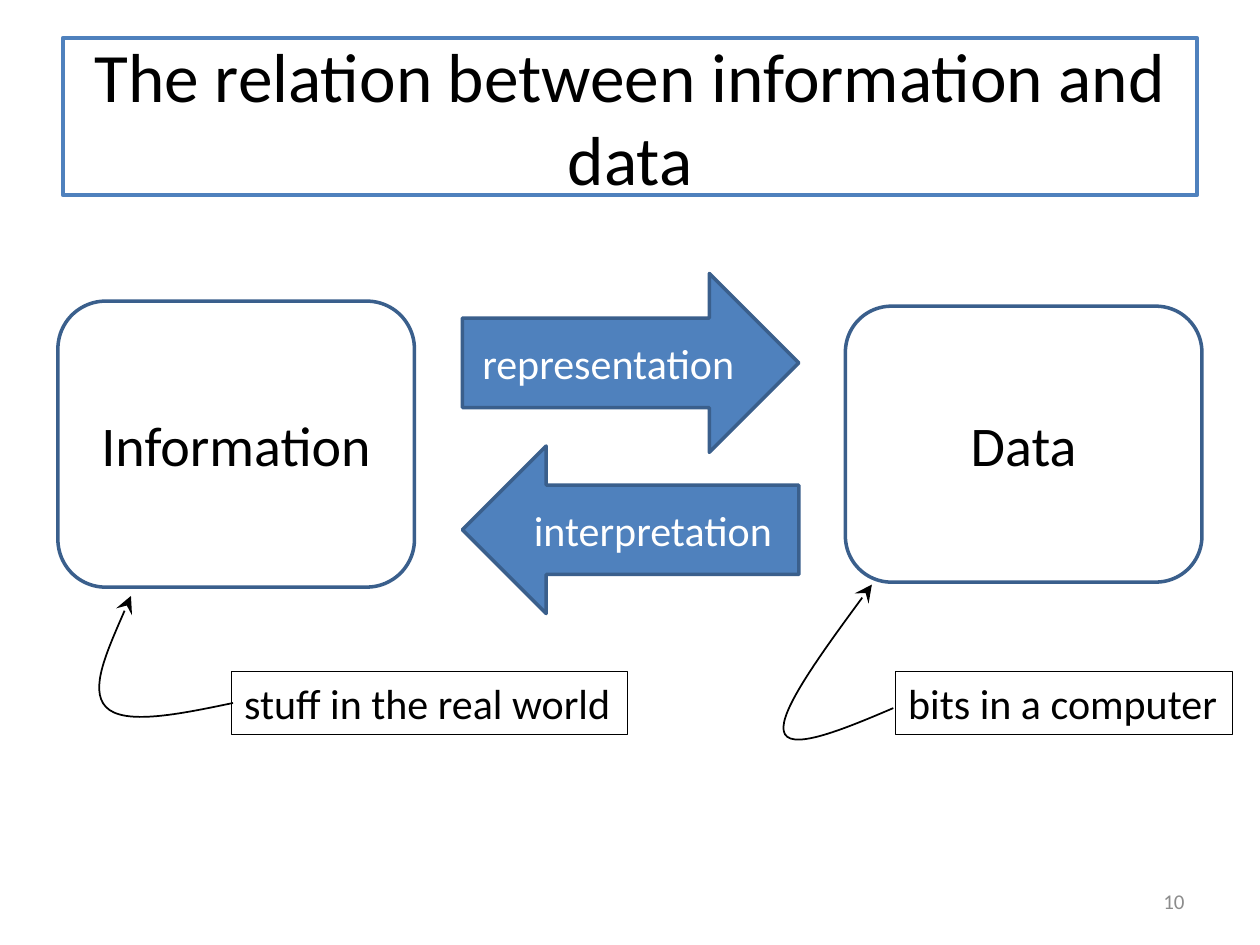
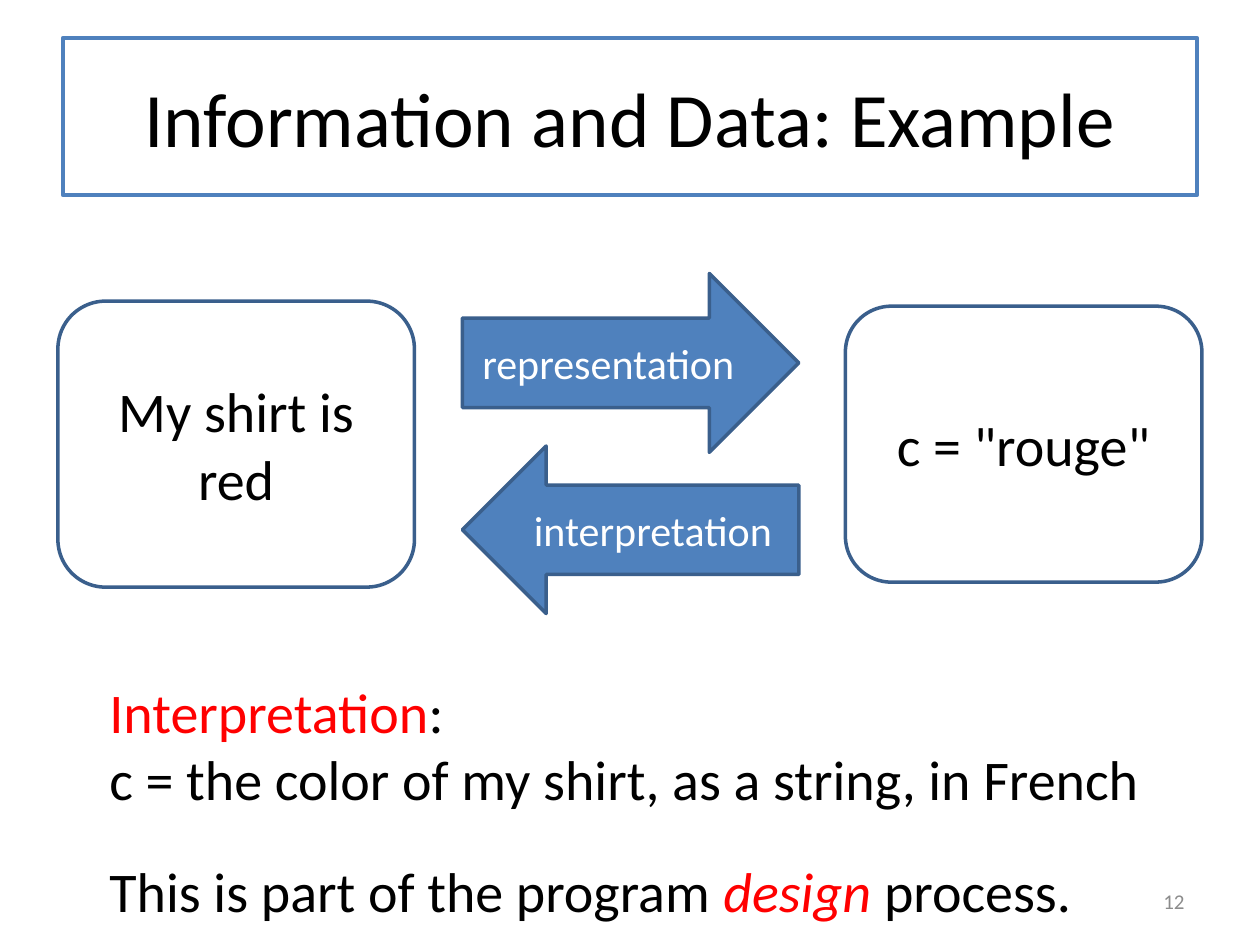
from lxml import etree
from pptx import Presentation
from pptx.dml.color import RGBColor
from pptx.enum.shapes import MSO_SHAPE
from pptx.enum.text import MSO_ANCHOR, MSO_AUTO_SIZE, PP_ALIGN
from pptx.oxml.ns import qn
from pptx.util import Inches, Pt

BLACK = RGBColor(0x00, 0x00, 0x00)
WHITE = RGBColor(0xFF, 0xFF, 0xFF)
RED = RGBColor(0xFF, 0x00, 0x00)
GREY = RGBColor(0x8C, 0x8C, 0x8C)
BLUE = RGBColor(0x4F, 0x81, 0xBD)
DARK_BLUE = RGBColor(0x3A, 0x5F, 0x8C)

RECTANGLE = MSO_SHAPE.RECTANGLE
ROUNDED = MSO_SHAPE.ROUNDED_RECTANGLE
RIGHT_ARROW = MSO_SHAPE.RIGHT_ARROW
LEFT_ARROW = MSO_SHAPE.LEFT_ARROW
LEFT, CENTER, RIGHT = PP_ALIGN.LEFT, PP_ALIGN.CENTER, PP_ALIGN.RIGHT
TOP, MIDDLE = MSO_ANCHOR.TOP, MSO_ANCHOR.MIDDLE
GROW = MSO_AUTO_SIZE.SHAPE_TO_FIT_TEXT

FONT = "Calibri"


class Deck:
    """Holds the shared style and the current slide."""

    def __init__(self):
        self.file = Presentation()
        self.file.slide_width = Inches(10)
        self.file.slide_height = Inches(7.5)
        self.page = None

    def new_page(self, title, number, title_size=44):
        self.page = self.file.slides.add_slide(self.file.slide_layouts[6])
        self.shape(self.page.shapes, RECTANGLE, (0.5, 0.3, 9, 1.25), title,
                   title_size, line=BLUE, line_width=2.25)
        self.text((7.17, 6.95, 2.33, 0.4), [[(number, GREY)]], 12,
                  align=RIGHT, anchor=MIDDLE, wrap=True)

    def style(self, para, size, color, align):
        para.alignment = align
        for span in para.runs:
            span.font.name = FONT
            span.font.size = Pt(size)
            span.font.color.rgb = color

    def shape(self, parent, kind, place, text, size, color=BLACK, fill=None,
              line=DARK_BLUE, line_width=2, align=CENTER):
        box = parent.add_shape(kind, *map(Inches, place))
        box.shadow.inherit = False
        if fill is None:
            box.fill.background()
        else:
            box.fill.solid()
            box.fill.fore_color.rgb = fill
        box.line.color.rgb = line
        box.line.width = Pt(line_width)
        frame = box.text_frame
        frame.text = text
        frame.vertical_anchor = MIDDLE
        frame.word_wrap = True
        self.style(frame.paragraphs[0], size, color, align)
        return box

    def text(self, place, lines, size, align=LEFT, anchor=TOP, wrap=False):
        """Each line is a list of (words, colour) or (words, colour, italic)."""
        frame = self.page.shapes.add_textbox(*map(Inches, place)).text_frame
        frame.word_wrap = wrap
        frame.vertical_anchor = anchor
        if not wrap:
            frame.auto_size = GROW
        for index, line in enumerate(lines):
            para = frame.add_paragraph() if index else frame.paragraphs[0]
            for words, _, *italic in line:
                span = para.add_run()
                span.text = words
                span.font.italic = bool(italic)
            self.style(para, size, BLACK, align)
            for span, (_, color, *_) in zip(para.runs, line):
                span.font.color.rgb = color

    def note(self, place, text):
        box = self.shape(self.page.shapes, RECTANGLE, place, text, 24,
                         line=BLACK, line_width=0.75, align=LEFT)
        box.text_frame.word_wrap = False
        box.text_frame.vertical_anchor = TOP
        box.text_frame.auto_size = GROW

    def curved_arrow(self, *points):
        """Draws cubic curves, three points each after the start."""
        start, *rest = [(Inches(x), Inches(y)) for x, y in points]
        builder = self.page.shapes.build_freeform(*start)
        builder.add_line_segments(rest, close=False)
        curve = builder.convert_to_shape()
        curve.shadow.inherit = False
        curve.fill.background()
        curve.line.color.rgb = BLACK
        curve.line.width = Pt(1)

        # Turn every three straight segments into one curve
        segments = list(curve.element.iter(qn("a:lnTo")))
        for first in range(0, len(segments), 3):
            trio = segments[first:first + 3]
            bend = etree.Element(qn("a:cubicBezTo"))
            trio[0].addprevious(bend)
            for segment in trio:
                bend.append(segment[0])
                segment.getparent().remove(segment)
        outline = curve.element.spPr.find(qn("a:ln"))
        etree.SubElement(outline, qn("a:tailEnd"), type="stealth",
                         w="lg", len="lg")

    def relation(self, information, data):
        """Two boxes joined by a pair of opposite arrows."""
        group = self.page.shapes.add_group_shape().shapes
        self.shape(group, ROUNDED, (0.46, 2.39, 2.83, 2.27), information, 32)
        self.shape(group, ROUNDED, (6.71, 2.43, 2.83, 2.19), data, 32)
        self.shape(group, RIGHT_ARROW, (3.67, 2.17, 2.67, 1.42),
                   "representation", 24, WHITE, BLUE)
        back = self.shape(group, LEFT_ARROW, (3.67, 3.54, 2.67, 1.33),
                          "interpretation", 24, WHITE, BLUE)
        back.adjustments[0] = 0.533


def main():
    deck = Deck()

    # The relation, with a note on each side
    deck.new_page("The relation between information and data", "10", 39.6)
    deck.relation("Information", "Data")
    deck.note((1.84, 5.33, 3.14, 0.5), "stuff in the real world")
    deck.note((7.11, 5.33, 2.67, 0.5), "bits in a computer")
    deck.curved_arrow((1.85, 5.58), (1.42, 5.67), (0.98, 5.76), (0.84, 5.61),
                      (0.71, 5.47), (0.88, 5.1), (1.04, 4.73))
    deck.curved_arrow((7.09, 5.62), (6.67, 5.8), (6.25, 5.97), (6.22, 5.8),
                      (6.19, 5.64), (6.55, 5.14), (6.92, 4.64))

    # The example, with its interpretation
    deck.new_page("Information and Data: Example", "12")
    deck.relation("My shirt is red", 'c = "rouge"')
    deck.text((0.77, 5.33, 8.46, 1.18), [
        [("Interpretation", RED), (":", BLACK)],
        [("c = the color of my shirt, as a string, in French", BLACK)],
    ], 32)
    deck.text((0.77, 6.75, 7.91, 0.64), [
        [("This is part of the program ", BLACK), ("design", RED, True),
         (" process.", BLACK)],
    ], 32)

    deck.file.save("out.pptx")


if __name__ == "__main__":
    main()
